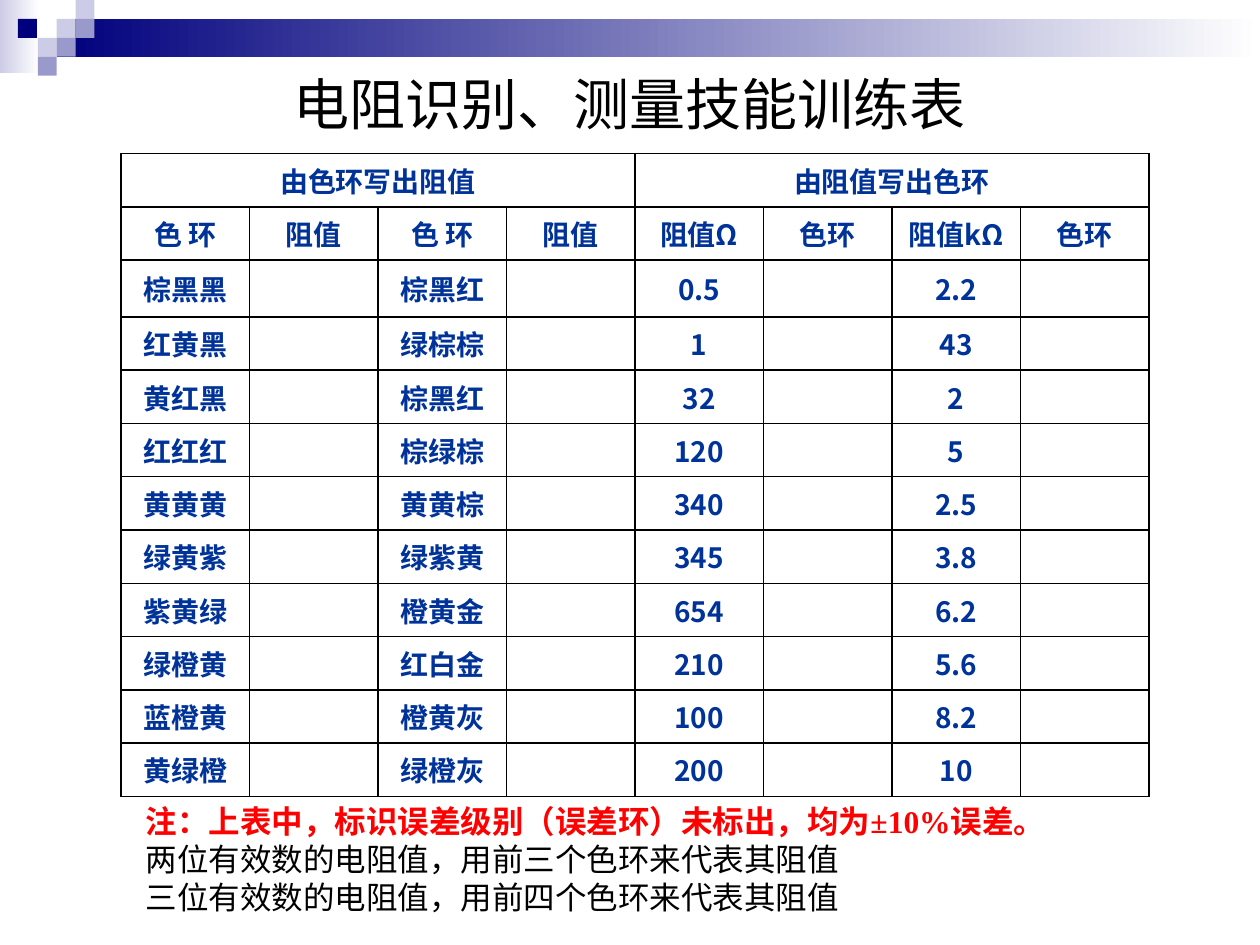
import pptx
import pptx.dml.color
import pptx.enum.shapes
import pptx.enum.text
import pptx.oxml
import pptx.oxml.ns
import pptx.util

COLORS = {"navy": "00007D", "violet": "9999CC", "lilac": "CCCCE6", "white": "FFFFFF",
          "blue": "003399", "red": "FF0000", "black": "000000"}
SANS, SERIF, PLAIN = "Noto Sans CJK SC", "Times New Roman", "Arial"
UNIT = 0.15

SQUARES = [(3, 1, "lilac"), (4, 0, "lilac"), (4, 1, "violet"), (2, 2, "lilac"),
           (0.95, 1, "navy"), (3, 2, "violet"), (2, 3, "violet")]
GROUPS = ["由色环写出阻值", "由阻值写出色环"]
HEADINGS = ["色 环", "阻值", "色 环", "阻值", "阻值Ω", "色环", "阻值kΩ", "色环"]
EXERCISES = [
    ("棕黑黑", "棕黑红", "0.5", "2.2"),
    ("红黄黑", "绿棕棕", "1", "43"),
    ("黄红黑", "棕黑红", "32", "2"),
    ("红红红", "棕绿棕", "120", "5"),
    ("黄黄黄", "黄黄棕", "340", "2.5"),
    ("绿黄紫", "绿紫黄", "345", "3.8"),
    ("紫黄绿", "橙黄金", "654", "6.2"),
    ("绿橙黄", "红白金", "210", "5.6"),
    ("蓝橙黄", "橙黄灰", "100", "8.2"),
    ("黄绿橙", "绿橙灰", "200", "10"),
]
NOTES = [
    ("注：上表中，标识误差级别（误差环）未标出，均为±10%误差。",
     {"font": SERIF, "color": "red", "bold": True}),
    ("两位有效数的电阻值，用前三个色环来代表其阻值", {"font": PLAIN}),
    ("三位有效数的电阻值，用前四个色环来代表其阻值", {"font": PLAIN}),
]


def rgb(name):
    """Return the named colour."""
    return pptx.dml.color.RGBColor.from_string(COLORS[name])


def grid(*cells):
    """Turn grid cells into lengths."""
    return [pptx.util.Inches(cell * UNIT) for cell in cells]


def write(para, text, size=18, font=SANS, color="black", bold=False, center=False):
    """Add a formatted span of text to a paragraph."""
    align = pptx.enum.text.PP_ALIGN
    para.alignment = align.CENTER if center else align.LEFT
    span = para.add_run()
    span.text = text
    span.font.size = pptx.util.Pt(size)
    span.font.name = font
    span.font.bold = bold
    span.font.color.rgb = rgb(color)
    east = pptx.oxml.parse_xml(f'<a:ea {pptx.oxml.ns.nsdecls("a")} typeface="{SANS}"/>')
    span.font._element.find(pptx.oxml.ns.qn("a:latin")).addnext(east)


class Page:
    """Hold the slide and draw its elements on the grid."""

    def __init__(self, deck):
        """Add a blank slide to the deck."""
        self.page = deck.slides.add_slide(deck.slide_layouts[6])

    def block(self, left, top, width, height, color, fade=False):
        """Draw a rectangle, plain or fading to white."""
        box = self.page.shapes.add_shape(
            pptx.enum.shapes.MSO_SHAPE.RECTANGLE, *grid(left, top, width, height))
        box.shadow.inherit = False
        box.line.fill.background()
        if fade:
            box.fill.gradient()
            box.fill.gradient_angle = 0
            for stop, name, place in zip(box.fill.gradient_stops, (color, "white"), (0, 1)):
                stop.color.rgb = rgb(name)
                stop.position = place
        else:
            box.fill.solid()
            box.fill.fore_color.rgb = rgb(color)

    def text(self, left, top, width, height, lines):
        """Draw a text box with one paragraph per line."""
        box = self.page.shapes.add_textbox(*grid(left, top, width, height))
        frame = box.text_frame
        frame.word_wrap = True
        for index, (text, style) in enumerate(lines):
            para = frame.add_paragraph() if index else frame.paragraphs[0]
            write(para, text, **style)

    def cell(self, cell, text):
        """Give a table cell its borders and text."""
        for side in ("lnL", "lnR", "lnT", "lnB"):
            cell._tc.get_or_add_tcPr().append(pptx.oxml.parse_xml(
                f'<a:{side} {pptx.oxml.ns.nsdecls("a")} w="12700"><a:solidFill>'
                f'<a:srgbClr val="{COLORS["black"]}"/></a:solidFill></a:{side}>'))
        cell.fill.background()
        cell.vertical_anchor = pptx.enum.text.MSO_ANCHOR.MIDDLE
        if text:
            write(cell.text_frame.paragraphs[0], text, size=16, color="blue",
                  bold=True, center=True)

    def table(self, left, top, width, heights, rows):
        """Draw a bordered table with equal columns."""
        count = len(rows[0])
        table = self.page.shapes.add_table(
            len(rows), count, *grid(left, top, width, sum(heights))).table
        table.first_row = table.horz_banding = False
        for row, height in zip(table.rows, heights):
            row.height = grid(height)[0]
        for r, row in enumerate(rows):
            for c, text in enumerate(row):
                self.cell(table.cell(r, c), text)
        half = count // 2
        for start in (0, half):
            table.cell(0, start).merge(table.cell(0, start + half - 1))


def main():
    """Build the resistor training slide."""
    deck = pptx.Presentation()
    deck.slide_width, deck.slide_height = pptx.util.Inches(10), pptx.util.Inches(7.5)
    page = Page(deck)
    page.block(0, 0, 2.07, 3.87, "lilac", fade=True)
    page.block(3, 1, 63.67, 2, "navy", fade=True)
    for left, top, color in SQUARES:
        page.block(left, top, 1, 1, color)

    groups = [text for group in GROUPS for text in (group, "", "", "")]
    exercises = [[text for value in row for text in (value, "")] for row in EXERCISES]
    rows = [groups, HEADINGS] + exercises
    heights = [3 if index == 2 else 2.82 for index in range(len(rows))]
    page.table(6.4, 8.13, 54.4, heights, rows)
    page.text(7.07, 42.13, 54.93, 6.73, NOTES)
    page.text(3.33, 3.33, 60, 10, [
        ("电阻识别、测量技能训练表", {"size": 32, "font": SERIF, "center": True})])
    deck.save("out.pptx")


if __name__ == "__main__":
    main()
